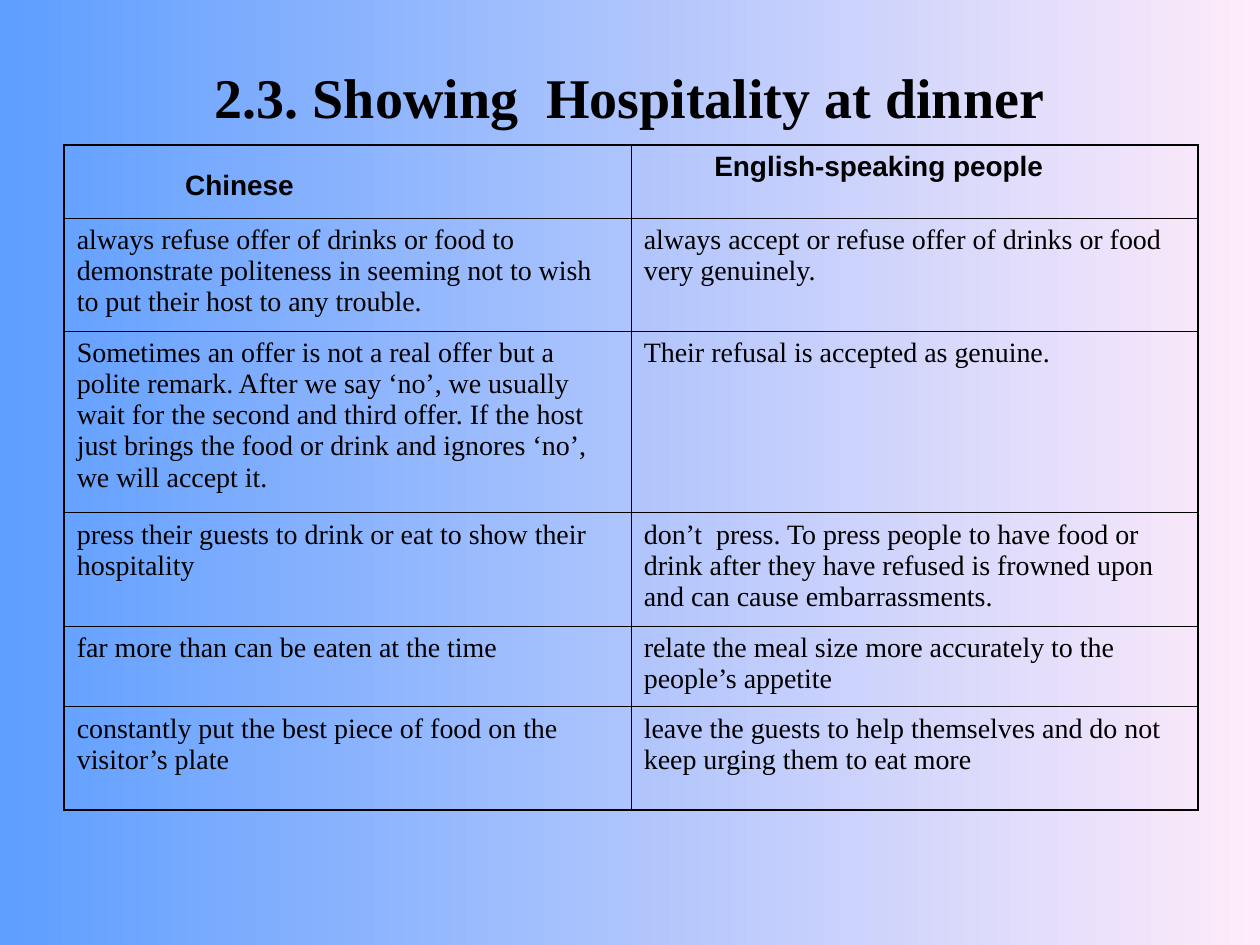
import pptx
import pptx.dml.color
import pptx.enum.text
import pptx.oxml
import pptx.oxml.ns
import pptx.util
from pptx.util import Inches

BLACK = "000000"
SERIF, SANS = "Times New Roman", "Arial"
OUTER, INNER = 1.08, 0.45
ROW_HEIGHTS = [0.58, 0.9, 1.44, 0.9, 0.64, 0.82]
HEADER_LAYOUT = [  # left indent and top inset of each heading
    {"margin_left": Inches(0.96), "margin_top": Inches(0.2)},
    {"margin_left": Inches(0.66), "margin_top": Inches(0.05)},
]
ROWS = [
    ("Chinese", "English-speaking people"),
    ("always refuse offer of drinks or food to demonstrate politeness in "
     "seeming not to wish to put their host to any trouble.",
     "always accept or refuse offer of drinks or food very genuinely."),
    ("Sometimes an offer is not a real offer but a polite remark. After we "
     "say ‘no’, we usually wait for the second and third offer. If the host "
     "just brings the food or drink and ignores ‘no’, we will accept it.",
     "Their refusal is accepted as genuine."),
    ("press their guests to drink or eat to show their hospitality",
     "don’t  press. To press people to have food or drink after they have "
     "refused is frowned upon and can cause embarrassments."),
    ("far more than can be eaten at the time",
     "relate the meal size more accurately to the people’s appetite"),
    ("constantly put the best piece of food on the visitor’s plate",
     "leave the guests to help themselves and do not keep urging them to "
     "eat more"),
]


def rgb(color):
    return pptx.dml.color.RGBColor.from_string(color)


def set_attrs(obj, values):
    for name, value in values.items():
        setattr(obj, name, value)


def set_font(p, name, size, bold):
    set_attrs(p.font, {"name": name, "size": pptx.util.Pt(size), "bold": bold})
    p.font.color.rgb = rgb(BLACK)


def set_borders(cell, widths):
    tc_pr = cell._tc.get_or_add_tcPr()
    for side in "LRTB":
        tc_pr.append(pptx.oxml.parse_xml(
            f'<a:ln{side} {pptx.oxml.ns.nsdecls("a")} '
            f'w="{pptx.util.Pt(widths[side])}"><a:solidFill>'
            f'<a:srgbClr val="{BLACK}"/></a:solidFill></a:ln{side}>'))


def add_background(s):
    fill = s.background.fill
    fill.gradient()
    fill.gradient_angle = 0
    for stop, color in zip(fill.gradient_stops, ("5E9EFF", "FFEBFA")):
        stop.color.rgb = rgb(color)


def add_title(s, text, left, top, width, height):
    title = s.shapes.title
    set_attrs(title, {"left": left, "top": top,
                      "width": width, "height": height})
    tf = title.text_frame
    tf.vertical_anchor = pptx.enum.text.MSO_ANCHOR.MIDDLE
    p = tf.paragraphs[0]
    p.text = text
    p.alignment = pptx.enum.text.PP_ALIGN.CENTER
    set_font(p, SERIF, 32, True)


def add_comparison(s, left, top, width, height):
    last_row, last_col = len(ROWS) - 1, len(ROWS[0]) - 1
    table = s.shapes.add_table(len(ROWS), len(ROWS[0]),
                               left, top, width, height).table
    set_attrs(table, {"first_row": False, "horz_banding": False})
    for row, row_height in zip(table.rows, ROW_HEIGHTS):
        row.height = Inches(row_height)
    for i, texts in enumerate(ROWS):
        for j, text in enumerate(texts):
            cell = table.cell(i, j)
            set_borders(cell, {"L": OUTER if j == 0 else INNER,
                               "R": OUTER if j == last_col else INNER,
                               "T": OUTER if i == 0 else INNER,
                               "B": OUTER if i == last_row else INNER})
            cell.fill.background()
            p = cell.text_frame.paragraphs[0]
            p.text = text
            if i == 0:
                set_attrs(cell, HEADER_LAYOUT[j])
                set_font(p, SANS, 16, True)
            else:
                set_font(p, SERIF, 16, False)


def main():
    prs = pptx.Presentation()
    set_attrs(prs, {"slide_width": Inches(10), "slide_height": Inches(7.5)})
    s = prs.slides.add_slide(prs.slide_layouts.get_by_name("Title Only"))
    add_background(s)
    add_title(s, "2.3. Showing  Hospitality at dinner",
              Inches(0.5), Inches(0.3), Inches(9), Inches(0.93))
    add_comparison(s, Inches(0.51), Inches(1.15),
                   Inches(9), Inches(sum(ROW_HEIGHTS)))
    prs.save("out.pptx")


if __name__ == "__main__":
    main()
